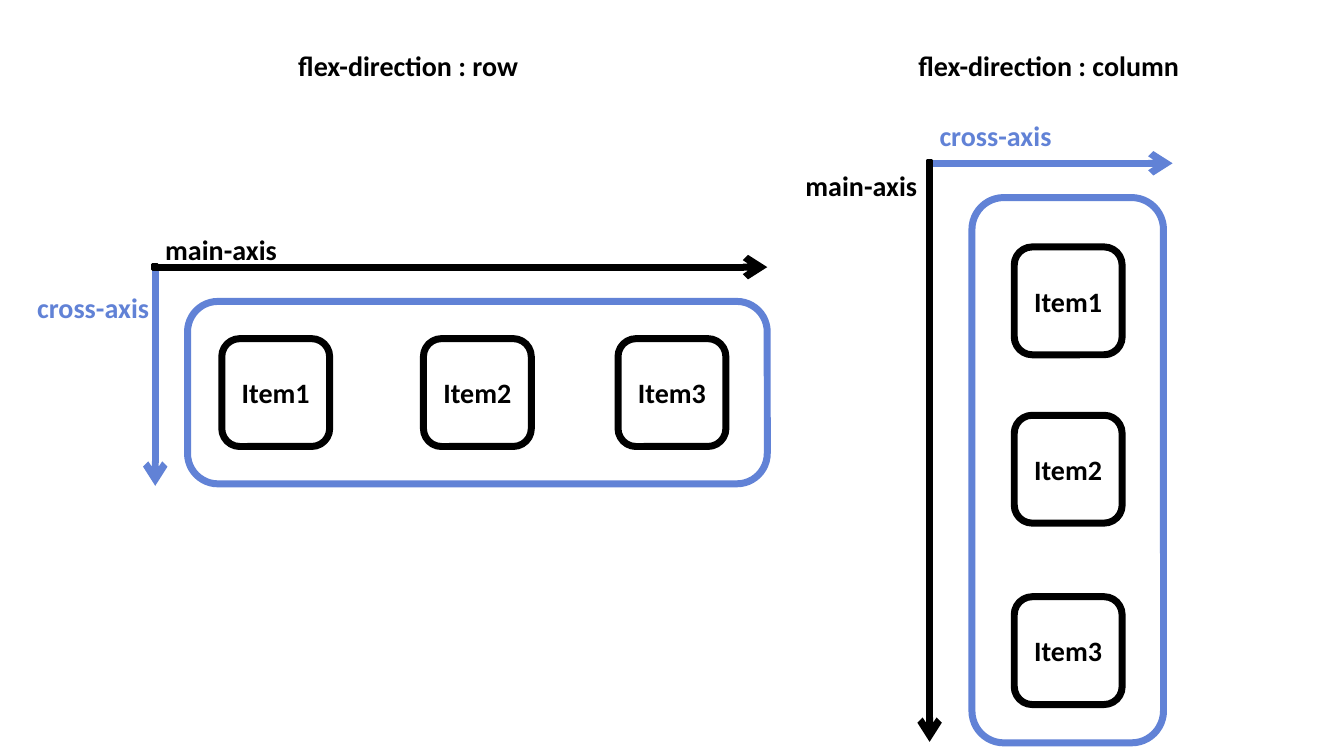
from lxml.etree import SubElement
from pptx import Presentation
from pptx.dml.color import RGBColor
from pptx.enum.shapes import MSO_CONNECTOR, MSO_SHAPE
from pptx.enum.text import MSO_ANCHOR, MSO_AUTO_SIZE, PP_ALIGN
from pptx.oxml.ns import qn
from pptx.util import Inches, Pt

BLACK = RGBColor(0x00, 0x00, 0x00)
WHITE = RGBColor(0xFF, 0xFF, 0xFF)
BLUE = RGBColor(0x61, 0x82, 0xD6)
FONT = "Calibri"
STROKE = 5
ITEM = 10.7
LABEL = 13.4
DOT = 0.5


def grid(*cells):
    """Turn columns and rows of a tenth of an inch into lengths."""
    return [Inches(cell / 10) for cell in cells]


def write(frame, text, color, align=PP_ALIGN.LEFT):
    frame.word_wrap = True
    para = frame.paragraphs[0]
    para.text = text
    para.alignment = align
    font = para.font
    font.name, font.size, font.bold = FONT, Pt(20), True
    font.color.rgb = color


def add_label(slide, text, left, top, width=LABEL, color=BLACK):
    frame = slide.shapes.add_textbox(*grid(left, top, width, 4.3)).text_frame
    frame.auto_size = MSO_AUTO_SIZE.SHAPE_TO_FIT_TEXT
    write(frame, text, color)


def add_box(slide, kind, place, color, fill=None, stroke=STROKE):
    box = slide.shapes.add_shape(kind, *grid(*place))
    box.shadow.inherit = False
    if fill is None:
        box.fill.background()
    else:
        box.fill.solid()
        box.fill.fore_color.rgb = fill
    box.line.color.rgb = color
    box.line.width = Pt(stroke)
    return box


def add_items(slide, spots):
    for count, (left, top) in enumerate(spots, 1):
        box = add_box(slide, MSO_SHAPE.ROUNDED_RECTANGLE,
                      (left, top, ITEM, ITEM), BLACK, WHITE)
        box.text_frame.vertical_anchor = MSO_ANCHOR.MIDDLE
        write(box.text_frame, f"Item{count}", BLACK, PP_ALIGN.CENTER)


def add_axis(slide, start, end, color):
    axis = slide.shapes.add_connector(MSO_CONNECTOR.STRAIGHT, *grid(*start, *end))
    axis.line.color.rgb = color
    axis.line.width = Pt(STROKE)
    SubElement(axis.line._get_or_add_ln(), qn("a:tailEnd"), type="arrow")
    SubElement(axis._element.spPr, qn("a:effectLst"))


def add_axes(slide, origin, right, down, across, along):
    """Draw both axes from one corner, with a dot that squares the joint."""
    x, y = origin
    ends = [((right, y), across), ((x, down), along)]
    for end, color in sorted(ends, key=lambda pair: pair[1] == BLACK):
        add_axis(slide, origin, end, color)
    add_box(slide, MSO_SHAPE.RECTANGLE, (x - DOT / 2, y - DOT / 2, DOT, DOT),
            BLACK, BLACK, 2)


def add_flex(slide, frame, spots):
    add_box(slide, MSO_SHAPE.ROUNDED_RECTANGLE, frame, BLUE)
    add_items(slide, spots)


def add_row(slide):
    add_label(slide, "flex-direction : row", 28.6, 4.3, 24.3)
    add_flex(slide, (18.6, 29.9, 57.5, 18.1),
             [(left, 33.6) for left in (22, 42, 61.3)])
    add_axes(slide, (15.4, 26.5), 76.1, 48.2, BLACK, BLUE)
    add_label(slide, "main-axis", 15.4, 22.6)
    add_label(slide, "cross-axis", 2.7, 28.3, color=BLUE)


def add_column(slide):
    add_label(slide, "flex-direction : column", 90.1, 4.3, 31.6)
    add_flex(slide, (96.4, 19.6, 19, 54.1),
             [(100.6, top) for top in (24.5, 41.2, 59.2)])
    add_axes(slide, (92.2, 16.2), 116.3, 73.6, BLUE, BLACK)
    add_label(slide, "cross-axis", 92.2, 11.3, color=BLUE)
    add_label(slide, "main-axis", 78.9, 16.2)


def main():
    deck = Presentation()
    deck.slide_width, deck.slide_height = Inches(13.33), Inches(7.5)
    slide = deck.slides.add_slide(deck.slide_layouts[6])
    add_row(slide)
    add_column(slide)
    deck.save("out.pptx")


if __name__ == "__main__":
    main()
